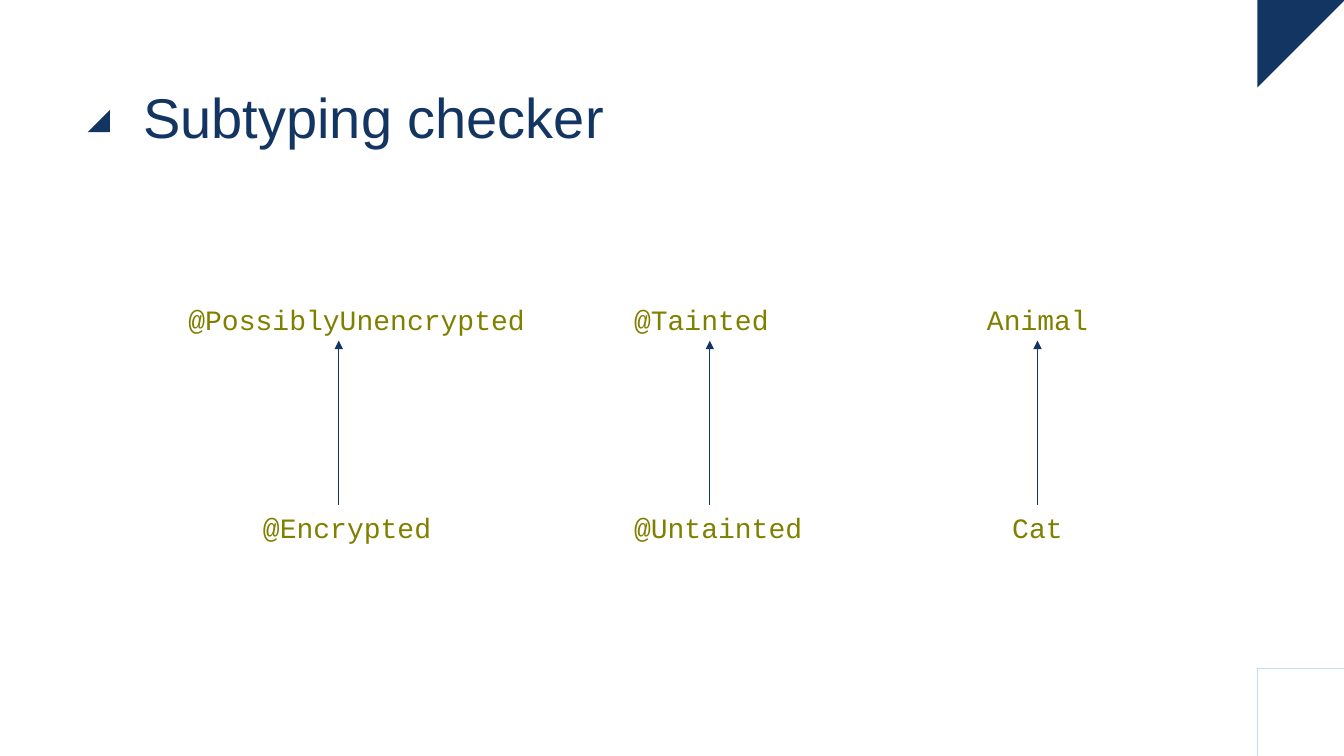
from dataclasses import dataclass

from lxml.etree import SubElement
from pptx import Presentation
from pptx.dml.color import RGBColor
from pptx.enum.shapes import MSO_CONNECTOR, MSO_SHAPE
from pptx.enum.text import MSO_ANCHOR, PP_ALIGN
from pptx.oxml.ns import qn
from pptx.util import Inches, Pt


@dataclass(frozen=True)
class Theme:
    """Colours, fonts and type sizes of the slide."""
    navy: str = "133561"
    olive: str = "808000"
    white: str = "FFFFFF"
    pale_blue: str = "BFDFF0"
    title_font: str = "Arial"
    code_font: str = "Courier New"
    title_size: int = 40
    code_size: int = 20
    line_width: float = 0.5


THEME = Theme()
SLIDE_WIDTH, SLIDE_HEIGHT = 13.33, 7.5
TITLE = "Subtyping checker"
LEFT, CENTER = PP_ALIGN.LEFT, PP_ALIGN.CENTER

# Each hierarchy: arrow x, then (name, left, width, alignment) of both types
HIERARCHIES = [
    (7.04, ("@Tainted", 6.19, 1.55, LEFT), ("@Untainted", 6.19, 1.87, LEFT)),
    (10.29, ("Animal", 9.69, 1.21, LEFT), ("Cat", 9.44, 1.7, CENTER)),
    (3.36, ("@PossiblyUnencrypted", 1.77, 3.57, LEFT),
     ("@Encrypted", 2.51, 1.87, LEFT)),
]
SUPERTYPE_TOP, SUBTYPE_TOP, LABEL_HEIGHT = 2.95, 5.01, 0.44
ARROW_TIP = 3.38
CORNER_SIZE, MARKER_SIZE = 0.87, 0.22
CORNER_LEFT = 12.47


def color(value):
    """Turn a hex string into a colour."""
    return RGBColor.from_string(value)


def add_block(page, preset, left, top, width, height, fill, rotation=0):
    """Add a flat filled shape without outline or shadow."""
    block = page.shapes.add_shape(
        preset, Inches(left), Inches(top), Inches(width), Inches(height))
    block.shadow.inherit = False
    block.fill.solid()
    block.fill.fore_color.rgb = color(fill)
    block.line.fill.background()
    block.rotation = rotation
    return block


def write(para, text, font, size, fill):
    """Add one styled run to a paragraph."""
    span = para.add_run()
    span.text = text
    span.font.name = font
    span.font.size = Pt(size)
    span.font.color.rgb = color(fill)


def add_decoration(page):
    """Add the title marker and the two page corners."""
    add_block(page, MSO_SHAPE.RIGHT_TRIANGLE, 0.87, 1.09,
              MARKER_SIZE, MARKER_SIZE, THEME.navy, rotation=270)
    add_block(page, MSO_SHAPE.RIGHT_TRIANGLE, CORNER_LEFT, 0,
              CORNER_SIZE, CORNER_SIZE, THEME.navy, rotation=90)
    corner = add_block(page, MSO_SHAPE.RECTANGLE, CORNER_LEFT,
                       SLIDE_HEIGHT - CORNER_SIZE, CORNER_SIZE, CORNER_SIZE,
                       THEME.white)
    corner.line.color.rgb = color(THEME.pale_blue)
    corner.line.width = Pt(THEME.line_width)


def add_title(page):
    """Add the slide title."""
    box = page.shapes.add_textbox(
        Inches(1.42), Inches(0.79), Inches(10.79), Inches(1.42))
    frame = box.text_frame
    frame.word_wrap = True
    frame.margin_left = frame.margin_right = 0
    frame.margin_top = frame.margin_bottom = 0
    para = frame.paragraphs[0]
    para.line_spacing = 1.05
    write(para, TITLE, THEME.title_font, THEME.title_size, THEME.navy)


def add_label(page, name, left, width, alignment, top):
    """Add the name of a type."""
    box = add_block(page, MSO_SHAPE.RECTANGLE, left, top, width, LABEL_HEIGHT,
                    THEME.white)
    frame = box.text_frame
    frame.word_wrap = False
    frame.vertical_anchor = MSO_ANCHOR.MIDDLE
    para = frame.paragraphs[0]
    para.alignment = alignment
    write(para, name, THEME.code_font, THEME.code_size, THEME.olive)


def add_arrow(page, x):
    """Add the arrow from a subtype up to its supertype."""
    arrow = page.shapes.add_connector(
        MSO_CONNECTOR.STRAIGHT, Inches(x), Inches(SUBTYPE_TOP),
        Inches(x), Inches(ARROW_TIP))
    arrow.line.color.rgb = color(THEME.navy)
    arrow.line.width = Pt(THEME.line_width)
    SubElement(arrow.line._get_or_add_ln(), qn("a:tailEnd"), type="triangle")
    SubElement(arrow._element.spPr, qn("a:effectLst"))


def main():
    """Build and save the deck."""
    deck = Presentation()
    deck.slide_width, deck.slide_height = Inches(SLIDE_WIDTH), Inches(SLIDE_HEIGHT)
    page = deck.slides.add_slide(deck.slide_layouts[6])
    add_decoration(page)
    add_title(page)
    for arrow_x, supertype, subtype in HIERARCHIES:
        add_label(page, *supertype, SUPERTYPE_TOP)
        add_label(page, *subtype, SUBTYPE_TOP)
        add_arrow(page, arrow_x)
    deck.save("out.pptx")


main()
